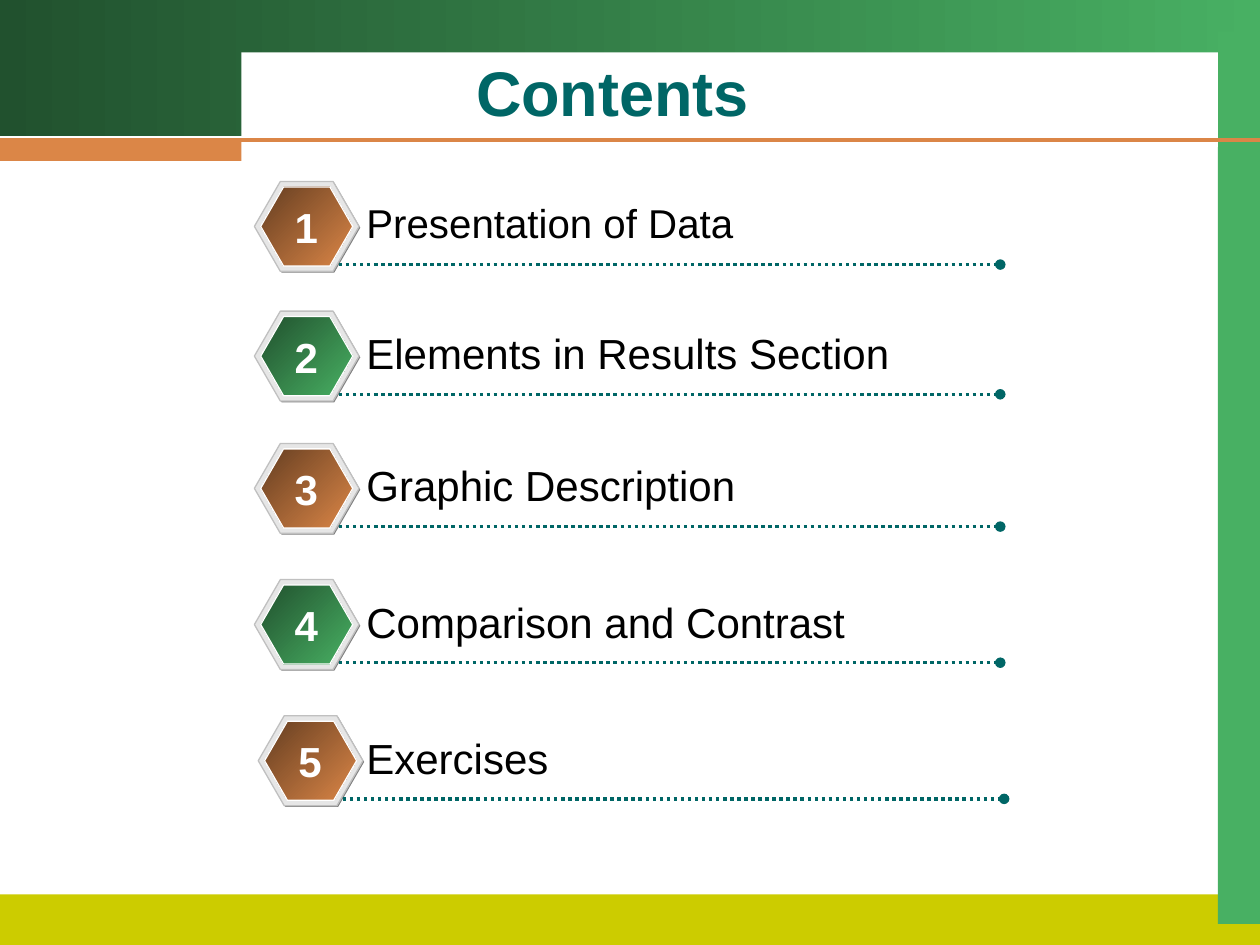
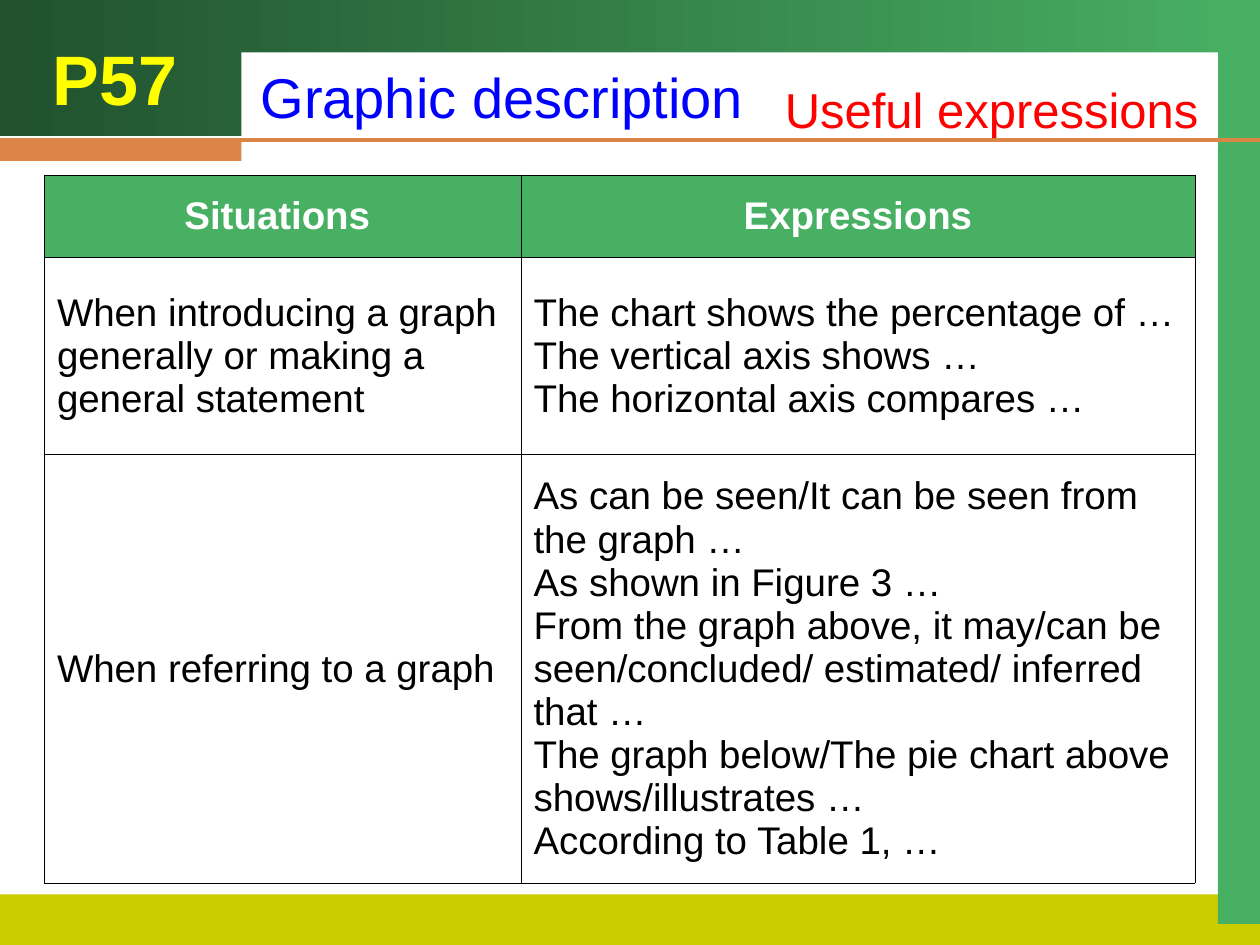
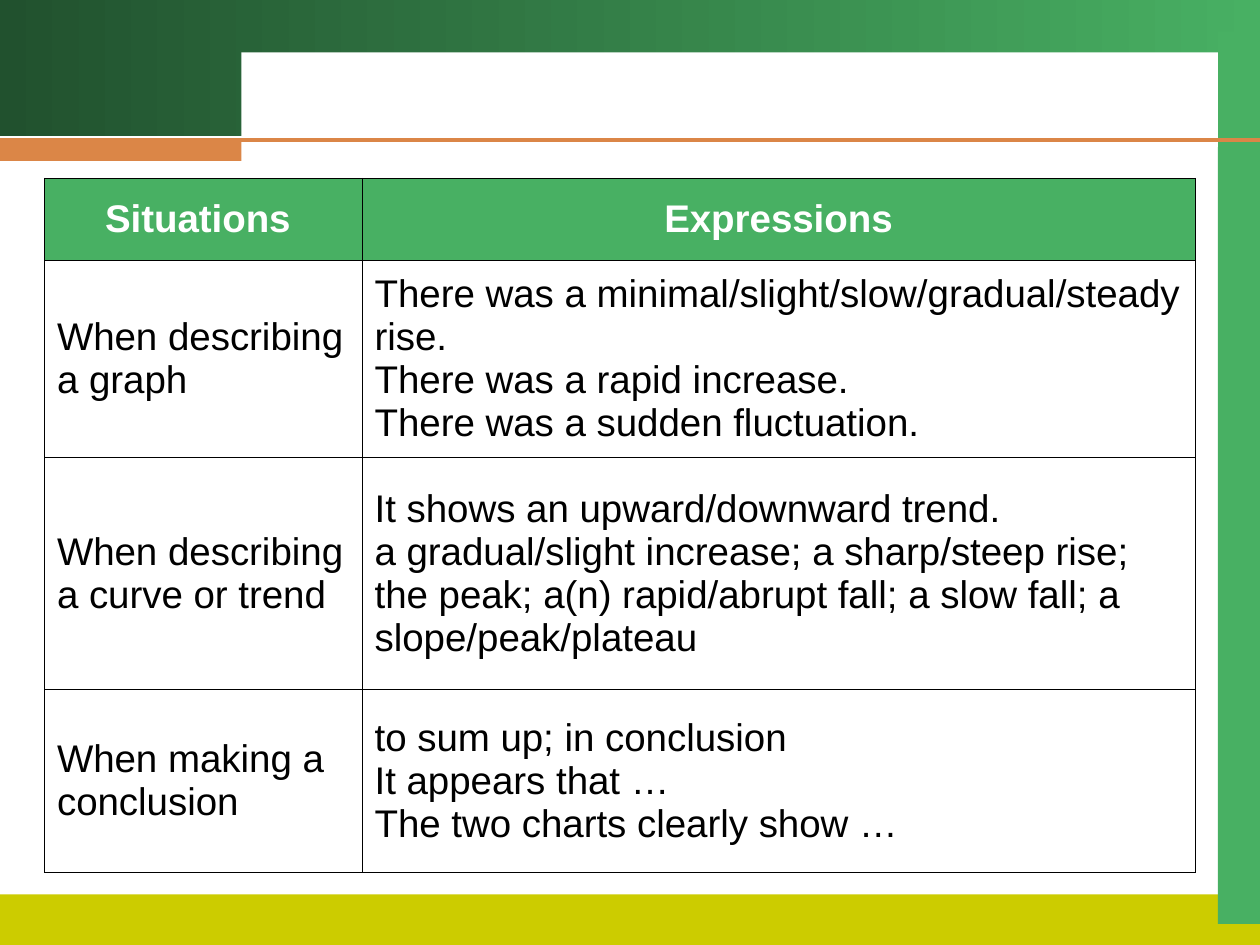
import lxml.etree
import pptx
import pptx.dml.color
import pptx.enum.dml
import pptx.enum.shapes
import pptx.enum.text
import pptx.oxml.ns
import pptx.util

Pt = pptx.util.Pt
qn = pptx.oxml.ns.qn
SHAPE = pptx.enum.shapes.MSO_SHAPE
ALIGN = pptx.enum.text.PP_ALIGN
MIDDLE = pptx.enum.text.MSO_ANCHOR.MIDDLE

FONT = "Arial"
COLORS = {
    "dark green": "21512E", "green": "48B063", "olive": "CCCC00",
    "brown": "653E21", "orange": "DB8647", "teal": "006666",
    "white": "FFFFFF", "black": "000000", "red": "FF0000",
    "blue": "0000FF", "yellow": "FFFF00",
    "shade": "808080", "rim": "E6E6E6", "rim edge": "C0C0C0",
}
GREENS = ("dark green", "green")
BROWNS = ("brown", "orange")

# Text, size, left and top of each contents entry
ENTRIES = [
    ("Presentation of Data", 23, 145.4, 103.7),
    ("Elements in Results Section", 24, 145.4, 177.8),
    ("Graphic Description", 24, 145.4, 253.4),
    ("Comparison and Contrast", 24, 145.4, 331.2),
    ("Exercises", 24, 147.6, 409),
]
LABEL_LEFT = 202.3

TABLE_HEADER = (["Situations "], ["Expressions"])
GRAPH_ROWS = [
    (["When introducing a graph generally or making a general statement"],
     ["The chart shows the percentage of …",
      "The vertical axis shows …\nThe horizontal axis compares …"]),
    (["When referring to a graph"],
     ["As can be seen/It can be seen from the graph …",
      "As shown in Figure 3 …",
      "From the graph above, it may/can be seen/concluded/ estimated/ "
      "inferred that …",
      "The graph below/The pie chart above shows/illustrates …",
      "According to Table 1, …"]),
]
TREND_ROWS = [
    (["When describing a graph"],
     ["There was a minimal/slight/slow/gradual/steady rise.",
      "There was a rapid increase.",
      "There was a sudden fluctuation."]),
    (["When describing a curve or trend"],
     ["It shows an upward/downward trend.",
      "a gradual/slight increase; a sharp/steep rise; the peak; "
      "a(n) rapid/abrupt fall; a slow fall; a slope/peak/plateau"]),
    (["When making a conclusion"],
     ["to sum up; in conclusion",
      "It appears that …",
      "The two charts clearly show …"]),
]


def rgb(name):
    return pptx.dml.color.RGBColor.from_string(COLORS[name])


def write(frame, paragraphs, size, color, bold=False, align=ALIGN.LEFT):
    for index, text in enumerate(paragraphs):
        para = frame.add_paragraph() if index else frame.paragraphs[0]
        para.text = text
        para.alignment = align
        para.font.name = FONT
        para.font.size = Pt(size)
        para.font.bold = bold
        para.font.color.rgb = rgb(color)


def add_text(shapes, box, text, size, color, bold=False, align=ALIGN.LEFT,
             wrap=False):
    frame = shapes.add_textbox(*map(Pt, box)).text_frame
    frame.word_wrap = wrap
    write(frame, [text], size, color, bold, align)
    return frame


def add_block(shapes, kind, box, fill, edge=None, angle=0):
    """Add a shape; a pair of colour names as fill makes a gradient."""
    block = shapes.add_shape(kind, *map(Pt, box))
    block.shadow.inherit = False
    if isinstance(fill, tuple):
        block.fill.gradient()
        block.fill.gradient_angle = angle
        for stop, name in zip(block.fill.gradient_stops, fill):
            stop.color.rgb = rgb(name)
    else:
        block.fill.solid()
        block.fill.fore_color.rgb = rgb(fill)
    if edge:
        block.line.color.rgb = rgb(edge)
        block.line.width = Pt(0.75)
    else:
        block.line.fill.background()
    return block


def add_rule(shapes, left, top, width, color, weight, dotted=False):
    """Add a horizontal line; a dotted one ends in a round dot."""
    rule = shapes.add_connector(pptx.enum.shapes.MSO_CONNECTOR.STRAIGHT,
                                Pt(left), Pt(top), Pt(left + width), Pt(top))
    rule.line.color.rgb = rgb(color)
    rule.line.width = Pt(weight)
    properties = rule.element.spPr
    if dotted:
        rule.line.dash_style = pptx.enum.dml.MSO_LINE.ROUND_DOT
        lxml.etree.SubElement(properties.find(qn("a:ln")), qn("a:tailEnd"),
                              type="oval")
    lxml.etree.SubElement(properties, qn("a:effectLst"))


def add_page(deck):
    """Add a blank slide with the bands that all slides share."""
    page = deck.slides.add_slide(deck.slide_layouts[6])
    bands = [
        ((0, 0, 720, 77.8), GREENS),
        ((0, 511, 720, 29), "olive"),
        ((696, 18, 24, 510), "green"),
        ((138, 30, 558, 54), "white"),
    ]
    for box, fill in bands:
        add_block(page.shapes, SHAPE.RECTANGLE, box, fill)
    add_rule(page.shapes, 0, 80, 720, "orange", 2.25)
    add_block(page.shapes, SHAPE.RECTANGLE, (0, 80, 138, 12), "orange")
    return page


def add_entry(page, number, text, size, left, top):
    shapes = page.shapes.add_group_shape().shapes
    core_fill = BROWNS if number % 2 else GREENS
    hexagons = [
        ((left + 0.7, top + 0.7, 59.8, 51.4), "shade", None),
        ((left, top, 59.8, 51.4), "rim", "rim edge"),
        ((left + 3.6, top + 3.1, 52.6, 45.2), core_fill, "white"),
    ]
    for box, fill, edge in hexagons:
        hexagon = add_block(shapes, SHAPE.HEXAGON, box, fill, edge, angle=315)
        hexagon.adjustments[0] = 0.289
    add_rule(shapes, left + 48.2, top + 47.5, 378, "teal", 2, dotted=True)
    add_text(shapes, (LABEL_LEFT, top + 5.9, 376, 36), text, size, "black",
             wrap=True)
    add_text(shapes, (left + 15.8, top + 7.9, 27.4, 36), str(number), 24,
             "white", True, ALIGN.CENTER)


def border_cell(cell):
    properties = cell._tc.get_or_add_tcPr()
    for side in ("a:lnL", "a:lnR", "a:lnT", "a:lnB"):
        line = lxml.etree.SubElement(properties, qn(side), w=str(Pt(0.45)))
        fill = lxml.etree.SubElement(line, qn("a:solidFill"))
        lxml.etree.SubElement(fill, qn("a:srgbClr"), val=COLORS["black"])


def add_expressions_table(page, left, top, widths, heights, rows):
    table = page.shapes.add_table(
        len(heights), len(widths), Pt(left), Pt(top),
        Pt(sum(widths)), Pt(sum(heights))).table
    table.first_row = table.horz_banding = False
    for column, width in zip(table.columns, widths):
        column.width = Pt(width)
    for row, height in zip(table.rows, heights):
        row.height = Pt(height)
    for row_index, texts in enumerate([TABLE_HEADER] + rows):
        for column_index, paragraphs in enumerate(texts):
            cell = table.cell(row_index, column_index)
            cell.vertical_anchor = MIDDLE
            border_cell(cell)
            if row_index == 0:
                cell.fill.solid()
                cell.fill.fore_color.rgb = rgb("green")
                write(cell.text_frame, paragraphs, 22, "white", True,
                      ALIGN.CENTER)
            else:
                cell.fill.background()
                write(cell.text_frame, paragraphs, 22, "black")


def build_contents(deck):
    page = add_page(deck)
    title = add_text(page.shapes, (208, 28, 284, 48.4), "Contents", 36,
                     "teal", True, ALIGN.CENTER, wrap=True)
    title.vertical_anchor = MIDDLE
    for number, entry in enumerate(ENTRIES, 1):
        add_entry(page, number, *entry)


def build_graph_expressions(deck):
    page = add_page(deck)
    add_text(page.shapes, (441.4, 41.8, 250.6, 41), "Useful expressions", 28,
             "red")
    add_expressions_table(page, 25.4, 100, (272.3, 385.2),
                          (46.8, 113, 244.8), GRAPH_ROWS)
    add_text(page.shapes, (23, 16.6, 85.7, 55.4), "P57", 40, "yellow", True)
    add_text(page.shapes, (141.8, 32.4, 290.2, 46), "Graphic description", 32,
             "blue")


def build_trend_expressions(deck):
    add_expressions_table(add_page(deck), 25.4, 101.8, (181.5, 476),
                          (46.8, 113, 132.5, 104.4), TREND_ROWS)


def main():
    deck = pptx.Presentation()
    deck.slide_width, deck.slide_height = Pt(720), Pt(540)
    build_contents(deck)
    build_graph_expressions(deck)
    build_trend_expressions(deck)
    deck.save("out.pptx")


if __name__ == "__main__":
    main()
